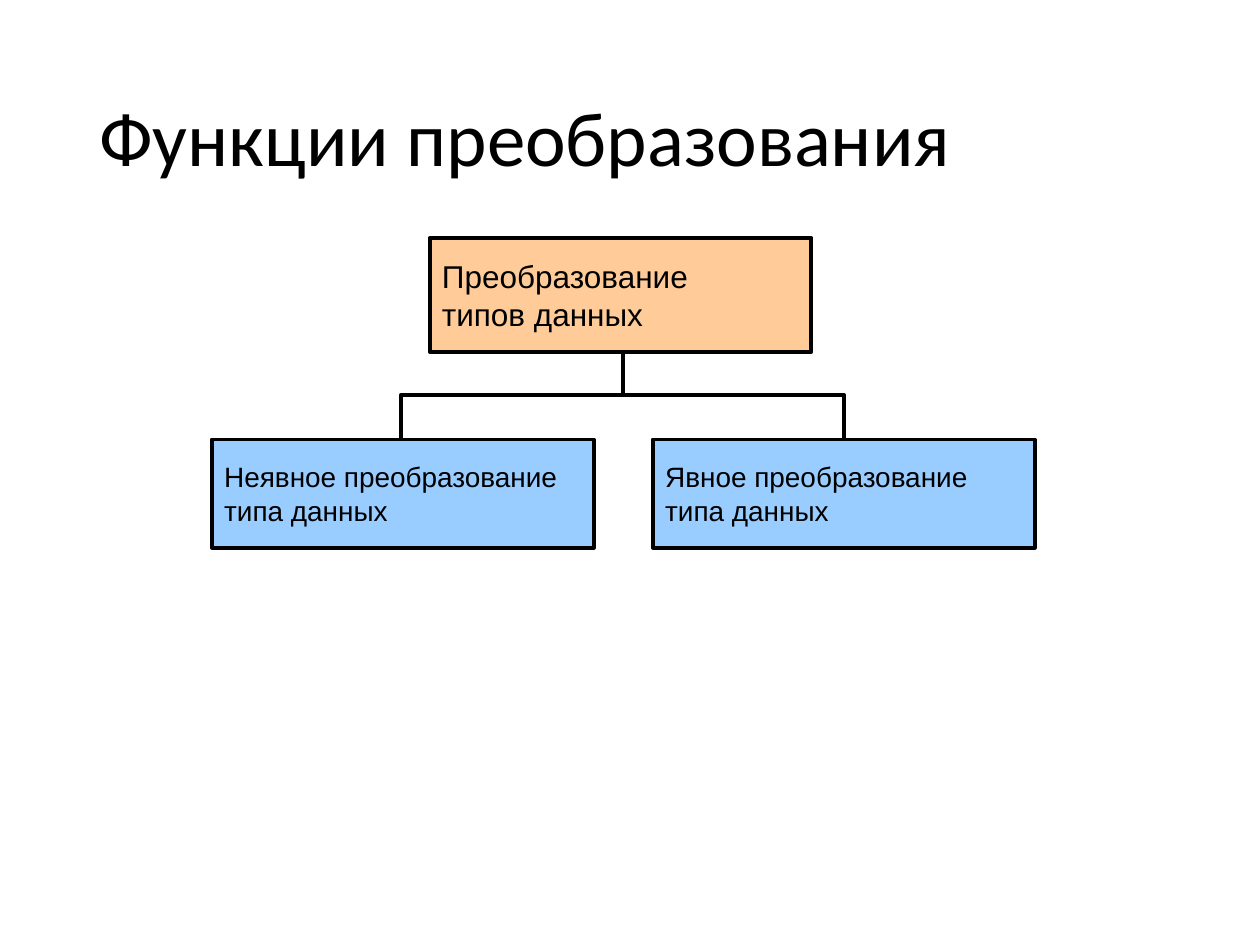
from pptx import Presentation
from pptx.dml.color import RGBColor
from pptx.enum.shapes import MSO_CONNECTOR, MSO_SHAPE
from pptx.enum.text import MSO_ANCHOR, PP_ALIGN
from pptx.oxml.ns import qn
from pptx.util import Cm, Pt
from lxml.etree import SubElement

COLOURS = {"ink": "000000", "root": "FFCC99", "branch": "99CCFF"}
FRAME = {
    "vertical_anchor": MSO_ANCHOR.MIDDLE,
    "margin_left": Cm(0.25),
    "margin_right": Cm(0.25),
    "margin_top": Cm(0.13),
    "margin_bottom": Cm(0.13),
}


def colour(name):
    return RGBColor.from_string(COLOURS[name])


def apply_format(target, values):
    for name, value in values.items():
        setattr(target, name, value)


class DiagramSlide:
    line_width = Pt(2.25)

    def __init__(self, slide):
        self.shapes = slide.shapes

    def outline(self, line):
        line.color.rgb = colour("ink")
        line.width = self.line_width

    def fill_text(self, shape, lines, font, wrap, spacing=1.0):
        frame = shape.text_frame
        apply_format(frame, {**FRAME, "word_wrap": wrap})
        for index, text in enumerate(lines):
            para = frame.add_paragraph() if index else frame.paragraphs[0]
            apply_format(para, {"alignment": PP_ALIGN.LEFT, "line_spacing": spacing})
            span = para.add_run()
            span.text = text
            apply_format(span.font, font)
            span.font.color.rgb = colour("ink")

    def title(self, text, left, top, width, height):
        box = self.shapes.add_textbox(Cm(left), Cm(top), Cm(width), Cm(height))
        self.fill_text(box, [text], {"name": "Calibri", "size": Pt(44)}, True, 0.9)

    def box(self, lines, left, top, width, height, fill, size):
        box = self.shapes.add_shape(
            MSO_SHAPE.RECTANGLE, Cm(left), Cm(top), Cm(width), Cm(height)
        )
        box.shadow.inherit = False
        box.fill.solid()
        box.fill.fore_color.rgb = colour(fill)
        self.outline(box.line)
        self.fill_text(box, lines, {"name": "Arial", "size": Pt(size)}, False)

    def connector(self, start, end):
        connector = self.shapes.add_connector(
            MSO_CONNECTOR.STRAIGHT, *map(Cm, start + end)
        )
        self.outline(connector.line)
        SubElement(connector._element.spPr, qn("a:effectLst"))

    def bracket(self, points):
        start, *rest = [(Cm(x), Cm(y)) for x, y in points]
        builder = self.shapes.build_freeform(*start)
        builder.add_line_segments(rest, close=False)
        bracket = builder.convert_to_shape()
        bracket.shadow.inherit = False
        bracket.fill.background()
        self.outline(bracket.line)


def main():
    deck = Presentation()
    deck.slide_width, deck.slide_height = Cm(25.4), Cm(19.05)
    page = DiagramSlide(deck.slides.add_slide(deck.slide_layouts[6]))
    page.title("Функции преобразования", 1.75, 1.02, 21.9, 3.68)

    box_width, rail = 7.7, 7.97
    page.connector((12.55, rail), (12.55, 6.32))
    page.bracket([(8.08, 9.55), (8.08, rail), (17.02, rail), (17.02, 9.3)])

    for left, kind in ((4.27, "Неявное"), (13.16, "Явное")):
        lines = [f"{kind} преобразование", "типа данных"]
        page.box(lines, left, 8.86, box_width, 2.18, "branch", 16)
    page.box(
        ["Преобразование", "типов данных"], 8.66, 4.8, box_width, 2.29, "root", 18
    )
    deck.save("out.pptx")


if __name__ == "__main__":
    main()
